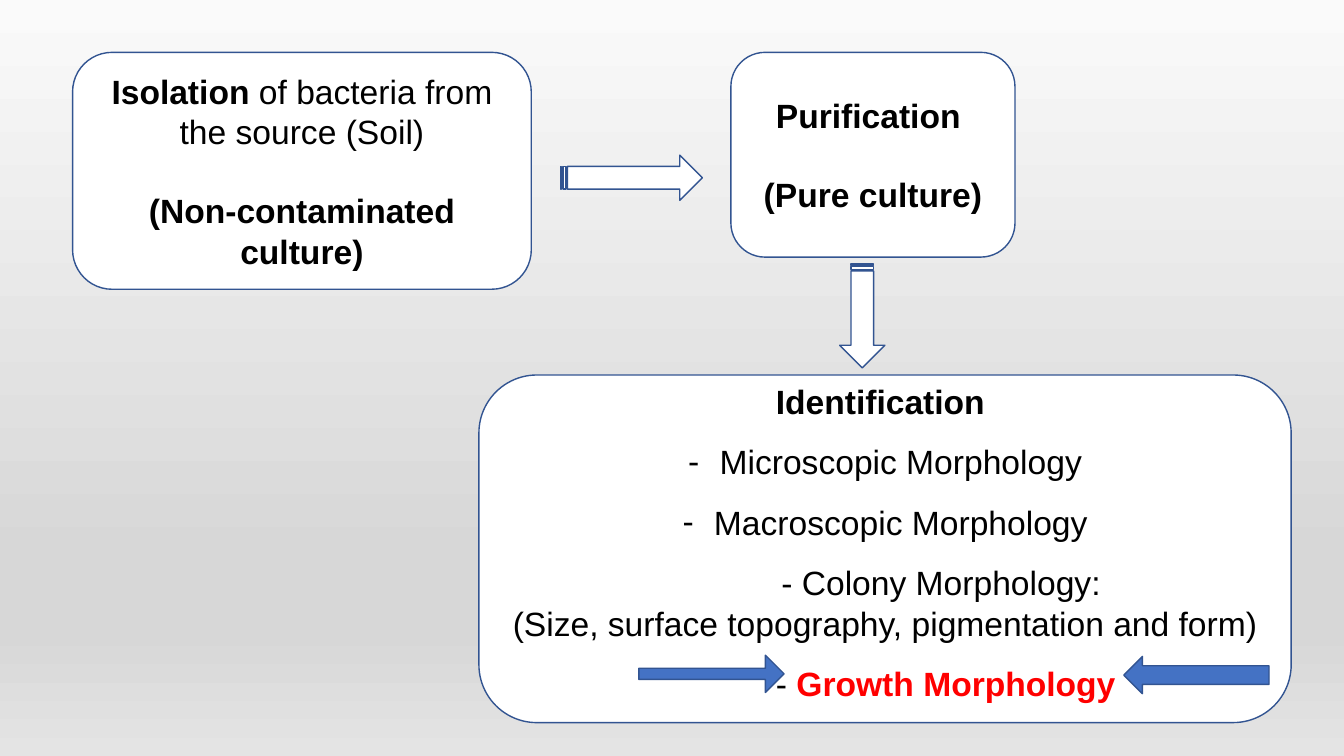
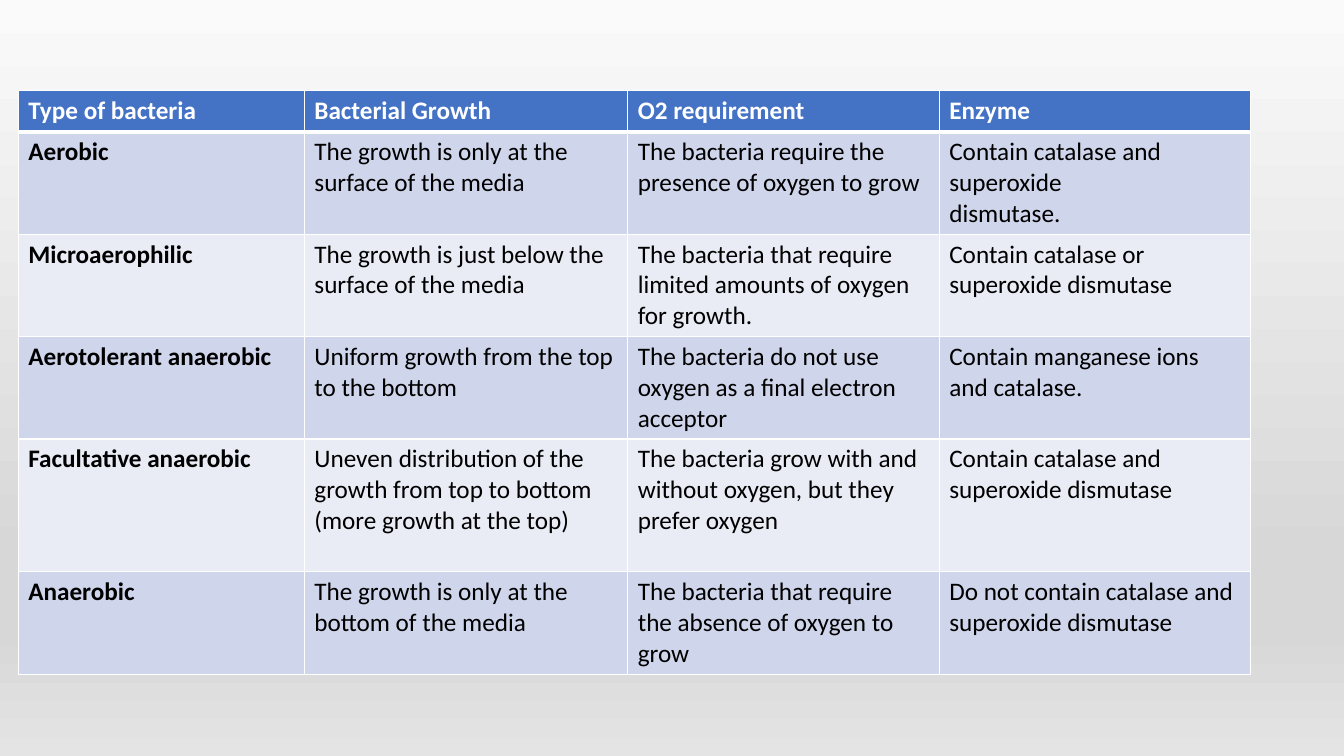
"""Build two slides on isolating bacteria and comparing their oxygen needs."""
from pptx import Presentation
from pptx.dml.color import RGBColor
from pptx.enum.shapes import MSO_SHAPE as SHAPE
from pptx.enum.text import MSO_ANCHOR as ANCHOR, PP_ALIGN as ALIGN
from pptx.oxml import parse_xml
from pptx.oxml.ns import nsdecls, qn
from pptx.util import Cm, Pt

COLORS = {
    "white": "FFFFFF", "black": "000000", "blue": "4472C4", "outline": "325491",
    "red": "FF0000", "band": "CFD5EA", "band_light": "E9EBF5",
}
BACKGROUND = [(0, "FAFAFA"), (74, "D7D7D7"), (83, "D7D7D7"), (100, "E4E4E4")]
STEP_FONT = {"name": "Arial", "size": Pt(24)}
TABLE_FONT = {"name": "Calibri", "size": Pt(18)}


def add_box(slide, kind, left, top, width, height, fill):
    sp = slide.shapes.add_shape(kind, Cm(left), Cm(top), Cm(width), Cm(height))
    sp.shadow.inherit = False
    sp.fill.solid()
    sp.fill.fore_color.rgb = RGBColor.from_string(COLORS[fill])
    sp.line.color.rgb = RGBColor.from_string(COLORS["outline"])
    sp.line.width = Pt(1)
    return sp


def set_font(font, values, color="black", bold=False):
    for name, value in {**values, "bold": bold}.items():
        setattr(font, name, value)
    font.color.rgb = RGBColor.from_string(COLORS[color])


prs = Presentation()
prs.slide_width, prs.slide_height = Cm(33.87), Cm(19.05)
blank = prs.slide_layouts[6]

master = prs.slide_master
fill = master.background.fill
fill.gradient()
fill.gradient_angle = 270
stops = master.element.find(".//" + qn("a:gsLst"))
for stop in list(stops):
    stops.remove(stop)
for percent, color in BACKGROUND:
    stops.append(parse_xml(
        f'<a:gs {nsdecls("a")} pos="{percent * 1000}"><a:srgbClr val="{color}"/></a:gs>'))

s = prs.slides.add_slide(blank)
BOLD, PLAIN, RED = ("black", True), ("black", False), ("red", True)
WIDE = {"line_spacing": 1.5}
GAP = {"space_before": Pt(28)}
steps = [
    ((1.83, 1.32, 11.56, 5.97), 0.13, [
        ({}, None, [("Isolation", BOLD), (" of bacteria from the source (Soil)", PLAIN)]),
        (GAP, None, [("(Non-contaminated culture)", BOLD)]),
    ]),
    ((18.42, 1.32, 7.16, 5.16), 0.13, [
        ({}, None, [("Purification ", BOLD)]),
        (GAP, None, [("(Pure culture)", BOLD)]),
    ]),
    ((12.07, 9.45, 20.47, 8.76), 0.97, [
        (WIDE, None, [("Identification ", BOLD)]),
        (WIDE, (0.79, -0.79, "-"), [("Microscopic Morphology", PLAIN)]),
        (WIDE, (0.79, -0.79, "-"), [("Macroscopic Morphology", PLAIN)]),
        (WIDE, (2.82, 0, None), [("- Colony Morphology:", PLAIN)]),
        ({}, None, [("(Size, surface topography, pigmentation and form)", PLAIN)]),
        (WIDE, (3.06, 0, None), [("- ", PLAIN), ("Growth Morphology", RED)]),
    ]),
]
for place, bottom, paragraphs in steps:
    sp = add_box(s, SHAPE.ROUNDED_RECTANGLE, *place, "white")
    tf = sp.text_frame
    tf.word_wrap = True
    tf.vertical_anchor = ANCHOR.MIDDLE
    tf.margin_bottom = Cm(bottom)
    for i, (spacing, indent, runs) in enumerate(paragraphs):
        p = tf.add_paragraph() if i else tf.paragraphs[0]
        p.alignment = ALIGN.CENTER
        for name, value in spacing.items():
            setattr(p, name, value)
        if indent:
            left, first, bullet = indent
            pPr = p._p.get_or_add_pPr()
            pPr.set("marL", str(Cm(left)))
            pPr.set("indent", str(Cm(first)))
            if bullet:
                pPr.append(parse_xml(f'<a:buFont {nsdecls("a")} typeface="Arial"/>'))
                pPr.append(parse_xml(f'<a:buChar {nsdecls("a")} char="{bullet}"/>'))
        for text, style in runs:
            r = p.add_run()
            r.text = text
            set_font(r.font, STEP_FONT, *style)

arrows = [
    (SHAPE.STRIPED_RIGHT_ARROW, (14.12, 3.91, 3.58, 1.14), 0, "white", 0.5),
    (SHAPE.STRIPED_RIGHT_ARROW, (20.42, 7.39, 2.62, 1.14), 90, "white", 0.5),
    (SHAPE.RIGHT_ARROW, (16.1, 16.51, 3.66, 0.94), 0, "blue", 0.3),
    (SHAPE.RIGHT_ARROW, (28.32, 16.54, 3.66, 0.94), 180, "blue", 0.5),
]
for kind, place, rotation, color, shaft in arrows:
    sp = add_box(s, kind, *place, color)
    sp.rotation = rotation
    sp.adjustments[0] = shaft

s = prs.slides.add_slide(blank)
rows = [
    ("Type of bacteria", "Bacterial Growth", "O2 requirement", "Enzyme"),
    ("Aerobic", "The growth is only at the surface of the media",
     "The bacteria require the\npresence of oxygen to grow",
     "Contain catalase and superoxide\ndismutase."),
    ("Microaerophilic", "The growth is just below the surface of the media",
     "The bacteria that require limited amounts of oxygen for growth.",
     "Contain catalase or superoxide dismutase"),
    ("Aerotolerant anaerobic", "Uniform growth from the top to the bottom",
     "The bacteria do not use oxygen as a final electron acceptor",
     "Contain manganese ions and catalase."),
    ("Facultative anaerobic",
     "Uneven distribution of the growth from top to bottom (more growth at the top)",
     "The bacteria grow with and without oxygen, but they prefer oxygen",
     "Contain catalase and\nsuperoxide dismutase"),
    ("Anaerobic", "The growth is only at the bottom of the media",
     "The bacteria that require\nthe absence of oxygen to grow",
     "Do not contain catalase and superoxide dismutase"),
]
widths = [7.21, 8.15, 7.85, 7.85]
heights = [1.03, 2.58, 2.58, 2.58, 3.35, 2.58]
table = s.shapes.add_table(len(rows), len(widths), Cm(0.46), Cm(2.29),
                           Cm(sum(widths)), Cm(sum(heights))).table
for column, width in zip(table.columns, widths):
    column.width = Cm(width)
for i, (texts, height) in enumerate(zip(rows, heights)):
    table.rows[i].height = Cm(height)
    band = "blue" if i == 0 else "band" if i % 2 else "band_light"
    borders = {"L": 1, "R": 1, "T": 3 if i == 1 else 1, "B": 3 if i == 0 else 1}
    for j, text in enumerate(texts):
        cell = table.cell(i, j)
        cell.text = text
        tcPr = cell._tc.get_or_add_tcPr()
        for side, points in borders.items():
            tcPr.append(parse_xml(
                f'<a:ln{side} {nsdecls("a")} w="{Pt(points)}"><a:solidFill>'
                f'<a:srgbClr val="{COLORS["white"]}"/></a:solidFill></a:ln{side}>'))
        cell.fill.solid()
        cell.fill.fore_color.rgb = RGBColor.from_string(COLORS[band])
        for p in cell.text_frame.paragraphs:
            for r in p.runs:
                set_font(r.font, TABLE_FONT, "black" if i else "white", i == 0 or j == 0)

prs.save("out.pptx")
